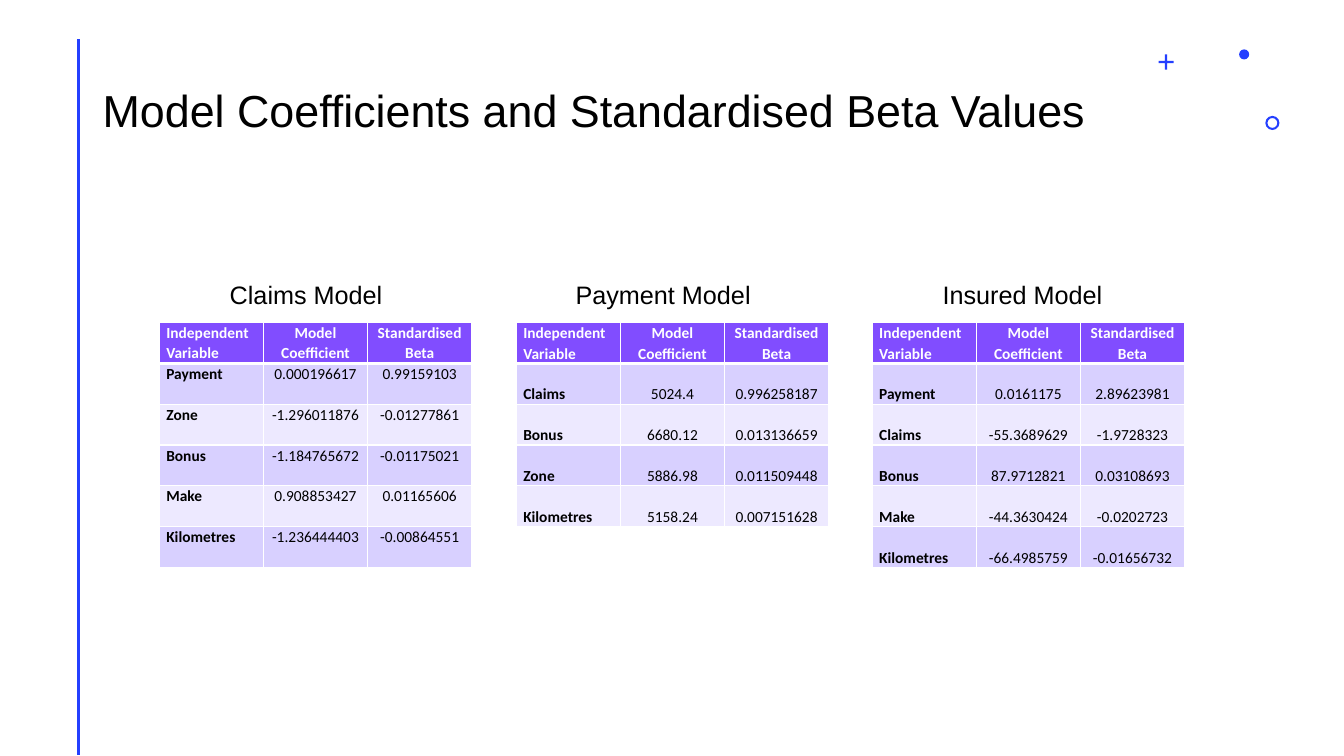
from dataclasses import dataclass

from lxml.etree import SubElement
from pptx import Presentation
from pptx.dml.color import RGBColor
from pptx.enum.shapes import MSO_CONNECTOR, MSO_SHAPE
from pptx.enum.text import MSO_ANCHOR, PP_ALIGN
from pptx.oxml.ns import qn
from pptx.slide import Slide
from pptx.table import _Cell
from pptx.text.text import _Paragraph
from pptx.util import Inches, Pt


@dataclass(frozen=True)
class Theme:
    accent: str = "243FFF"
    header: str = "814DFF"
    bands: tuple[str, str] = ("D8D0FF", "EDE9FF")
    white: str = "FFFFFF"
    black: str = "000000"
    text_font: str = "Arial"
    table_font: str = "Calibri"
    title_size: int = 32
    heading_size: int = 18
    table_size: int = 11


@dataclass(frozen=True)
class Ornament:
    kind: MSO_SHAPE
    left: float
    top: float
    size: float
    adjustment: float | None = None


@dataclass(frozen=True)
class Model:
    heading: str
    heading_left: float
    heading_width: float
    table_left: float
    anchor: MSO_ANCHOR
    rows: list[tuple[str, str, str]]


THEME = Theme()
HEADING_TOP, HEADING_HEIGHT = 2.72, 0.4
TABLE_TOP, TABLE_WIDTH = 3.2, 3.1
ROW_HEIGHT = 2.43 / 6
COLUMNS = ("Independent Variable", "Model Coefficient", "Standardised Beta")

ORNAMENTS = [
    Ornament(MSO_SHAPE.CROSS, 11.49, 0.54, 0.15, 0.43),
    Ornament(MSO_SHAPE.DONUT, 12.55, 1.15, 0.14, 0.15),
    Ornament(MSO_SHAPE.OVAL, 12.29, 0.49, 0.1),
]

MODELS = [
    Model("Claims Model", 2.18, 1.91, 1.58, MSO_ANCHOR.TOP, [
        ("Payment", "0.000196617", "0.99159103"),
        ("Zone", "-1.296011876", "-0.01277861"),
        ("Bonus", "-1.184765672", "-0.01175021"),
        ("Make", "0.908853427", "0.01165606"),
        ("Kilometres", "-1.236444403", "-0.00864551"),
    ]),
    Model("Payment Model", 5.61, 2.11, 5.12, MSO_ANCHOR.BOTTOM, [
        ("Claims", "5024.4", "0.996258187"),
        ("Bonus", "6680.12", "0.013136659"),
        ("Zone", "5886.98", "0.011509448"),
        ("Kilometres", "5158.24", "0.007151628"),
    ]),
    Model("Insured Model", 9.25, 1.91, 8.65, MSO_ANCHOR.BOTTOM, [
        ("Payment", "0.0161175", "2.89623981"),
        ("Claims", "-55.3689629", "-1.9728323"),
        ("Bonus", "87.9712821", "0.03108693"),
        ("Make", "-44.3630424", "-0.0202723"),
        ("Kilometres", "-66.4985759", "-0.01656732"),
    ]),
]


def format_runs(p: _Paragraph, font: str, size: int, color: str, bold: bool = False) -> None:
    for r in p.runs:
        r.font.name = font
        r.font.size = Pt(size)
        r.font.bold = bold
        r.font.color.rgb = RGBColor.from_string(color)


def add_text(s: Slide, text: str, left: float, top: float, width: float, height: float,
             size: int) -> _Paragraph:
    sp = s.shapes.add_textbox(Inches(left), Inches(top), Inches(width), Inches(height))
    tf = sp.text_frame
    tf.text = text
    tf.word_wrap = True
    tf.vertical_anchor = MSO_ANCHOR.MIDDLE
    p = tf.paragraphs[0]
    format_runs(p, THEME.text_font, size, THEME.black)
    return p


def add_rule(s: Slide) -> None:
    cxn = s.shapes.add_connector(
        MSO_CONNECTOR.STRAIGHT, Inches(0.78), Inches(0.39), Inches(0.78), Inches(7.49))
    cxn.line.color.rgb = RGBColor.from_string(THEME.accent)
    cxn.line.width = Pt(2)
    SubElement(cxn._element.spPr, qn("a:effectLst"))


def add_ornament(s: Slide, ornament: Ornament) -> None:
    sp = s.shapes.add_shape(ornament.kind, Inches(ornament.left), Inches(ornament.top),
                            Inches(ornament.size), Inches(ornament.size))
    sp.shadow.inherit = False
    sp.fill.solid()
    sp.fill.fore_color.rgb = RGBColor.from_string(THEME.accent)
    sp.line.fill.background()
    if ornament.adjustment is not None:
        sp.adjustments[0] = ornament.adjustment


def add_borders(cell: _Cell, bottom: int) -> None:
    tc_pr = cell._tc.get_or_add_tcPr()
    for side, width in (("lnL", 1), ("lnR", 1), ("lnT", 1), ("lnB", bottom)):
        ln = SubElement(tc_pr, qn(f"a:{side}"), w=str(Pt(width)))
        fill = SubElement(ln, qn("a:solidFill"))
        SubElement(fill, qn("a:srgbClr"), val=THEME.white)


def fill_cell(cell: _Cell, text: str, row: int, col: int, anchor: MSO_ANCHOR) -> None:
    is_header = row == 0
    add_borders(cell, bottom=3 if is_header else 1)
    cell.fill.solid()
    cell.fill.fore_color.rgb = RGBColor.from_string(
        THEME.header if is_header else THEME.bands[(row - 1) % 2])
    cell.margin_left = cell.margin_right = Inches(0.07)
    cell.margin_top = cell.margin_bottom = 0
    cell.vertical_anchor = anchor
    cell.text_frame.text = text
    p = cell.text_frame.paragraphs[0]
    p.alignment = PP_ALIGN.LEFT if col == 0 else PP_ALIGN.CENTER
    p.line_spacing = 1.07
    p.space_after = Pt(8)
    format_runs(p, THEME.table_font, THEME.table_size,
                THEME.white if is_header else THEME.black, bold=is_header or col == 0)


def add_model(s: Slide, model: Model) -> None:
    rows = [COLUMNS, *model.rows]
    table = s.shapes.add_table(
        len(rows), len(COLUMNS), Inches(model.table_left), Inches(TABLE_TOP),
        Inches(TABLE_WIDTH), Inches(ROW_HEIGHT * len(rows))).table
    for i, row in enumerate(rows):
        for j, text in enumerate(row):
            fill_cell(table.cell(i, j), text, i, j, model.anchor)
    add_text(s, model.heading, model.heading_left, HEADING_TOP,
             model.heading_width, HEADING_HEIGHT, THEME.heading_size)


def main() -> None:
    prs = Presentation()
    prs.slide_width, prs.slide_height = Inches(13.33), Inches(7.5)
    s = prs.slides.add_slide(prs.slide_layouts[6])

    # Decoration
    add_rule(s)
    for ornament in ORNAMENTS:
        add_ornament(s, ornament)

    # Title
    title = add_text(s, "Model Coefficients and Standardised Beta Values",
                     0.92, 0.4, 11.5, 1.45, THEME.title_size)
    title.line_spacing = 0.9

    # Model tables with headings
    for model in MODELS:
        add_model(s, model)

    prs.save("out.pptx")


if __name__ == "__main__":
    main()
